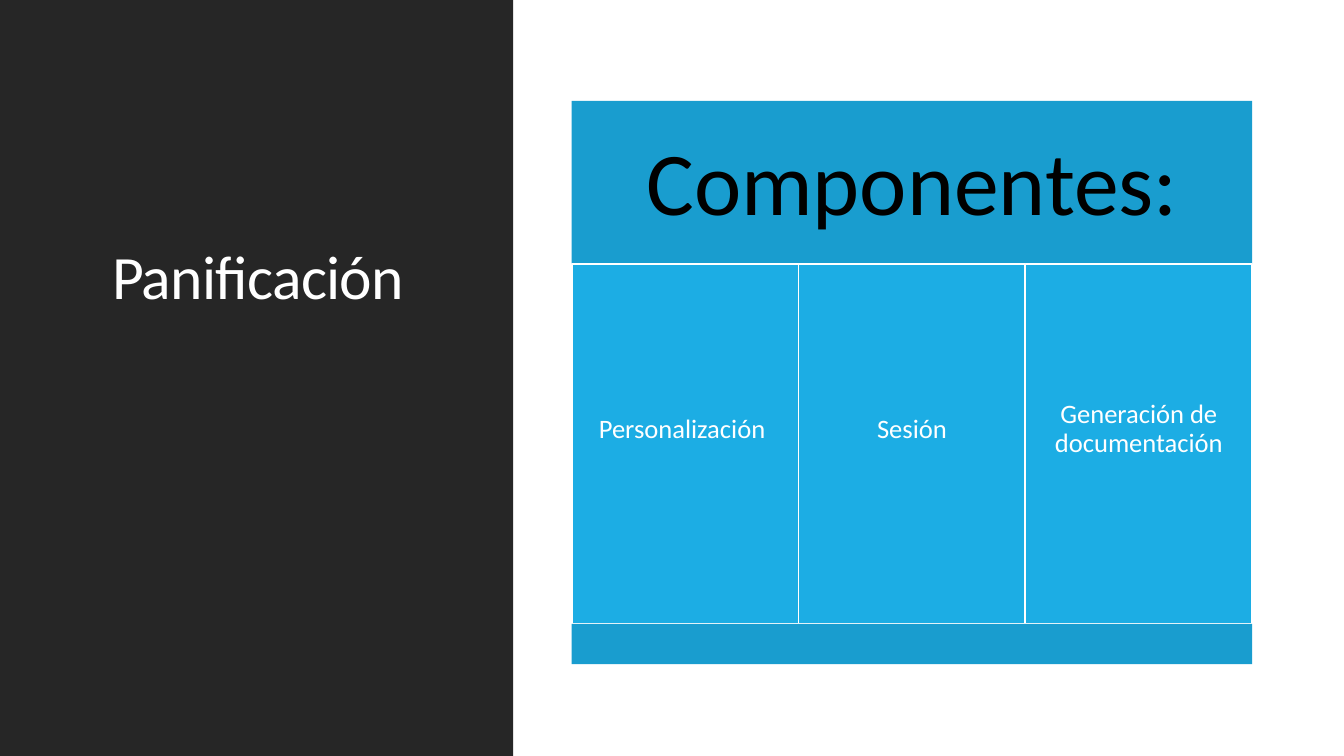
from pptx import Presentation
from pptx.dml.color import RGBColor
from pptx.enum.shapes import MSO_SHAPE
from pptx.enum.text import MSO_ANCHOR, MSO_AUTO_SIZE, PP_ALIGN
from pptx.util import Pt

PX = 9144  # EMU per px, 100 px to the inch
RECTANGLE = MSO_SHAPE.RECTANGLE
MIDDLE, BOTTOM = MSO_ANCHOR.MIDDLE, MSO_ANCHOR.BOTTOM
CENTER = PP_ALIGN.CENTER
NO_AUTOFIT = MSO_AUTO_SIZE.NONE
COLORS = {
    "panel": "262626",
    "band": "199DCF",
    "column": "1CADE4",
    "white": "FFFFFF",
    "black": "000000",
}


class SlideBuilder:
    font = "Calibri"
    line_spacing = 0.9

    def __init__(self, slide):
        self.slide = slide

    def color(self, name):
        return RGBColor.from_string(COLORS[name])

    def label(self, shape, text, size, color, anchor, insets):
        """Set centred text; insets are left, top, right, bottom in px."""
        frame = shape.text_frame
        frame.word_wrap = True
        frame.auto_size = NO_AUTOFIT
        frame.vertical_anchor = anchor
        (frame.margin_left, frame.margin_top,
         frame.margin_right, frame.margin_bottom) = [n * PX for n in insets]
        paragraph = frame.paragraphs[0]
        paragraph.alignment = CENTER
        paragraph.line_spacing = self.line_spacing
        run = paragraph.add_run()
        run.text = text
        run.font.name = self.font
        run.font.size = Pt(size)
        run.font.color.rgb = self.color(color)
        return run

    def block(self, left, top, width, height, fill, border=None):
        rect = self.slide.shapes.add_shape(
            RECTANGLE, left * PX, top * PX, width * PX, height * PX)
        rect.shadow.inherit = False
        rect.fill.solid()
        rect.fill.fore_color.rgb = self.color(fill)
        if border:
            rect.line.color.rgb = self.color(border)
            rect.line.width = Pt(1.25)
        else:
            rect.line.fill.background()
        return rect

    def title(self, text, left, top, width, height):
        """Place the title in front of everything added so far."""
        heading = self.slide.shapes.title
        self.slide.shapes._spTree.append(heading._element)
        heading.left, heading.top = left * PX, top * PX
        heading.width, heading.height = width * PX, height * PX
        run = self.label(heading, text, 44, "white", BOTTOM, (10, 5, 10, 5))
        run.font._element.set("spc", "-50")


def main():
    prs = Presentation()
    prs.slide_width, prs.slide_height = 1333 * PX, 750 * PX
    builder = SlideBuilder(prs.slides.add_slide(prs.slide_layouts[5]))

    builder.block(0, 0, 509, 750, "panel")
    builder.title("Panificación ", 70, 86, 385, 229)

    left, column_width = 567, 225
    components = ["Personalización ", "Sesión", "Generación de documentación"]
    total_width = column_width * len(components)

    header = builder.block(left, 100, total_width, 170, "band")
    builder.label(header, "Componentes:", 64, "black", MIDDLE, (27, 27, 27, 27))
    for index, component in enumerate(components):
        column = builder.block(left + index * column_width, 262,
                               column_width, 357, "column", "white")
        builder.label(column, component, 19, "white", MIDDLE, (8, 8, 8, 37))
    builder.block(left, 619, total_width, 40, "band")

    prs.save("out.pptx")


if __name__ == "__main__":
    main()
